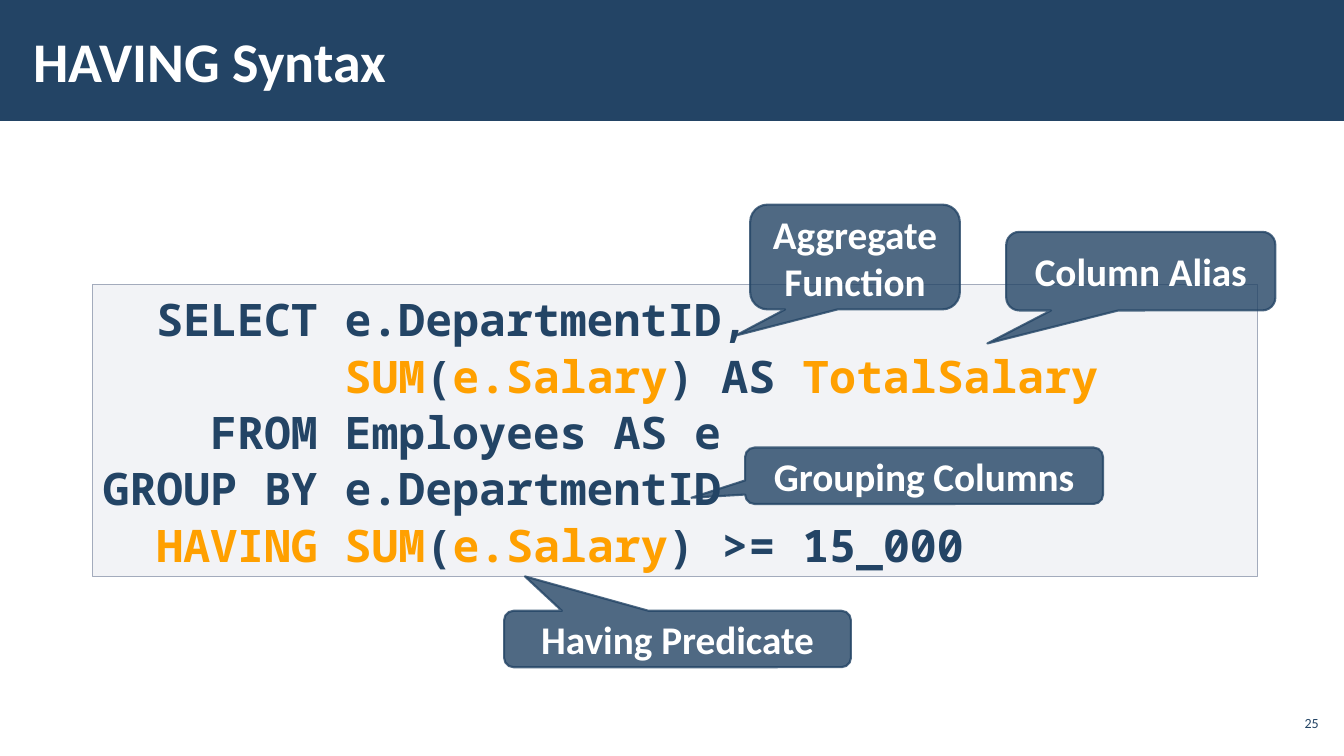
import pptx
import pptx.dml.color
import pptx.enum.shapes
import pptx.enum.text
import pptx.oxml.ns
import pptx.util
from lxml import etree
from pptx.util import Inches

COLORS = {"navy": "234465", "orange": "FFA000", "white": "FFFFFF",
          "panel": "C2C7D2", "panel_edge": "A3ABBC"}
ALIGN = pptx.enum.text.PP_ALIGN
ANCHOR = pptx.enum.text.MSO_ANCHOR
SHAPE = pptx.enum.shapes.MSO_SHAPE


def add_text(paragraph, text, size=28, font="Calibri", color="white", bold=True, align=ALIGN.LEFT):
    paragraph.alignment = align
    run = paragraph.add_run()
    run.text = text
    run.font.size = pptx.util.Pt(size)
    run.font.name = font
    run.font.bold = bold
    run.font.color.rgb = pptx.dml.color.RGBColor.from_string(COLORS[color])


def paint(shape, fill, opacity=100, line=None, width=1, line_opacity=100):
    shape.shadow.inherit = False
    shape.fill.solid()
    shape.fill.fore_color.rgb = pptx.dml.color.RGBColor.from_string(COLORS[fill])
    if line:
        shape.line.color.rgb = pptx.dml.color.RGBColor.from_string(COLORS[line])
        shape.line.width = pptx.util.Pt(width)
    else:
        shape.line.fill.background()
    # Solid fills come in document order: the area first, then the line
    solid_colors = shape.element.spPr.iter(pptx.oxml.ns.qn("a:srgbClr"))
    for solid_color, percent in zip(solid_colors, (opacity, line_opacity)):
        if percent < 100:
            alpha = etree.SubElement(solid_color, pptx.oxml.ns.qn("a:alpha"))
            alpha.set("val", str(percent * 1000))


presentation = pptx.Presentation()
presentation.slide_width = Inches(13.33)
presentation.slide_height = Inches(7.5)
slide = presentation.slides.add_slide(presentation.slide_layouts[6])

# Header band
header = slide.shapes.add_shape(SHAPE.RECTANGLE, 0, 0, Inches(13.33), Inches(1.2))
paint(header, "navy")

# SQL query: indent in characters, then (text, color) pieces
query = [
    (2, [("SELECT e.DepartmentID,", "navy")]),
    (9, [("SUM", "orange"), ("(", "navy"), ("e.Salary", "orange"),
         (") AS ", "navy"), ("TotalSalary", "orange")]),
    (4, [("FROM Employees AS e", "navy")]),
    (0, [("GROUP BY e.DepartmentID", "navy")]),
    (2, [("HAVING SUM", "orange"), ("(", "navy"), ("e.Salary", "orange"),
         (") >= 15_000", "navy")]),
]
CODE_SIZE = 32
CHARACTER_WIDTH = pptx.util.Pt(CODE_SIZE * 0.6)

code = slide.shapes.add_shape(SHAPE.RECTANGLE, Inches(0.92), Inches(2.82), Inches(11.55), Inches(2.9))
paint(code, "panel", opacity=20, line="panel_edge")
code.text_frame.word_wrap = True
code.text_frame.vertical_anchor = ANCHOR.TOP
for number, (indent, pieces) in enumerate(query):
    code_line = code.text_frame.add_paragraph() if number else code.text_frame.paragraphs[0]
    code_line.line_spacing = 1.05
    code_line._p.get_or_add_pPr().set("marL", str(indent * CHARACTER_WIDTH))
    for text, color in pieces:
        add_text(code_line, text, size=CODE_SIZE, font="Noto Sans Mono", color=color)

# Title and page number
labels = [
    ("HAVING Syntax", (0.21, 0.11, 10.4, 0.97), 0.12, dict(size=40)),
    ("25", (12.65, 7, 0.47, 0.34), 0.04,
     dict(size=10, color="navy", bold=False, align=ALIGN.RIGHT)),
]
for text, place, side_inset, text_format in labels:
    label = slide.shapes.add_textbox(*map(Inches, place)).text_frame
    label.word_wrap = True
    label.vertical_anchor = ANCHOR.MIDDLE
    label.margin_left = label.margin_right = Inches(side_inset)
    label.margin_top = label.margin_bottom = Inches(0.04)
    add_text(label.paragraphs[0], text, **text_format)

# Callouts: lines, place, pointer tip relative to the centre
callouts = [
    (["Aggregate", "Function"], (7.44, 2.03, 2.08, 1.04), (-0.57, 0.75)),
    (["Grouping Columns"], (7.39, 4.44, 3.55, 0.56), (-0.65, 0.39)),
    (["Column Alias"], (9.98, 2.3, 2.67, 0.78), (-0.57, 0.92)),
    (["Having Predicate"], (5, 6.06, 3.44, 0.56), (-0.44, -1.11)),
]
for lines, place, tip in callouts:
    callout = slide.shapes.add_shape(SHAPE.ROUNDED_RECTANGULAR_CALLOUT, *map(Inches, place))
    callout.adjustments[0], callout.adjustments[1] = tip
    paint(callout, "navy", opacity=80, line="navy", width=1.5, line_opacity=80)
    callout.text_frame.word_wrap = True
    callout.text_frame.vertical_anchor = ANCHOR.MIDDLE
    for number, text in enumerate(lines):
        callout_line = callout.text_frame.add_paragraph() if number else callout.text_frame.paragraphs[0]
        add_text(callout_line, text, align=ALIGN.CENTER)

presentation.save("out.pptx")
